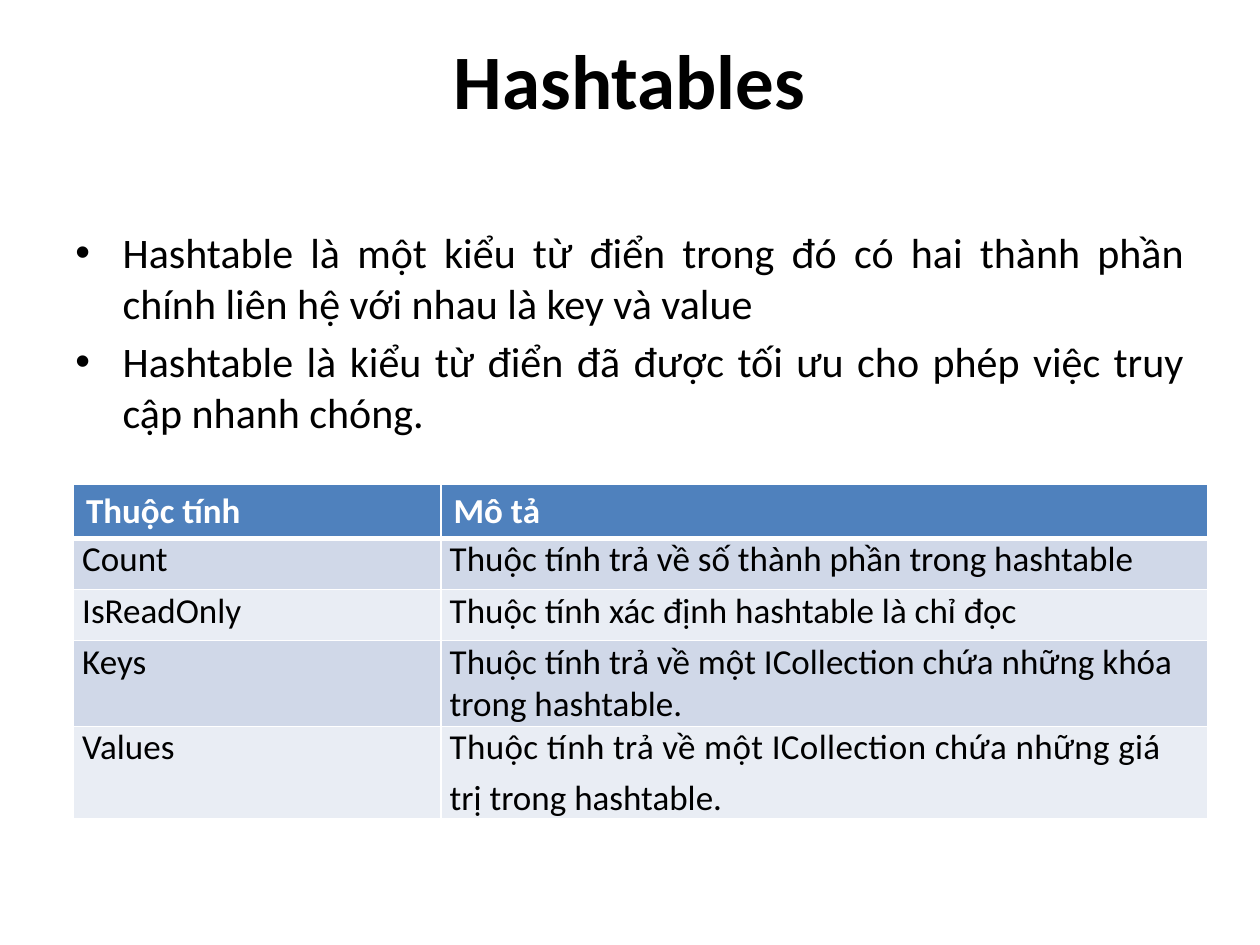
"""Build the Hashtables slide with its bullets and property table."""
from lxml.etree import SubElement as Sub
from pptx import Presentation
from pptx.dml.color import RGBColor as Rgb
from pptx.enum.text import MSO_ANCHOR as Anchor, PP_ALIGN as Align
from pptx.oxml.ns import qn
from pptx.util import Pt

HUES = {"ink": "000000", "white": "FFFFFF", "head": "4F81BD",
        "dark": "D0D8E8", "light": "E9EDF4"}
NOTES = [
    "Hashtable là một kiểu từ điển trong đó có hai thành phần chính liên hệ với nhau là key và value",
    "Hashtable là kiểu từ điển đã được tối ưu cho phép việc truy cập nhanh chóng.",
]
ROWS = [
    ("Thuộc tính", "Mô tả", 30.8),
    ("Count", "Thuộc tính trả về số thành phần trong hashtable", 29.2),
    ("IsReadOnly", "Thuộc tính xác định hashtable là chỉ đọc", 29.2),
    ("Keys", "Thuộc tính trả về một ICollection chứa những khóa trong hashtable.", 49),
    ("Values", "Thuộc tính trả về một ICollection chứa những giá\ntrị trong hashtable.", 53),
]


def style(para, size, hue="ink", bold=False):
    font = para.font
    font.name, font.size, font.bold = "Calibri", Pt(size), bold
    font.color.rgb = Rgb.from_string(HUES[hue])


def edge(cell, side, width):
    line = Sub(cell._tc.get_or_add_tcPr(), qn(f"a:ln{side}"), w=str(Pt(width)))
    fill = Sub(line, qn("a:solidFill"))
    Sub(fill, qn("a:srgbClr"), val=HUES["white"])


deck = Presentation()
deck.slide_width, deck.slide_height = Pt(720), Pt(540)
slide = deck.slides.add_slide(deck.slide_layouts[6])

title = slide.shapes.add_textbox(Pt(36), Pt(0), Pt(648), Pt(90)).text_frame
title.word_wrap = True
title.vertical_anchor = Anchor.MIDDLE
title.text = "Hashtables"
title.paragraphs[0].alignment = Align.CENTER
style(title.paragraphs[0], 44, bold=True)

body = slide.shapes.add_textbox(Pt(36), Pt(126), Pt(648), Pt(356.4)).text_frame
body.word_wrap = True
body.text = "\n".join(NOTES)
for i, para in enumerate(body.paragraphs):
    para.alignment = Align.JUSTIFY
    if i:
        para.space_before = Pt(4.8)
    props = para._p.get_or_add_pPr()
    props.set("marL", str(Pt(27)))
    props.set("indent", str(Pt(-27)))
    Sub(props, qn("a:buFont"), typeface="Arial")
    Sub(props, qn("a:buChar"), char="•")
    style(para, 24)

high = sum(row[2] for row in ROWS)
table = slide.shapes.add_table(len(ROWS), 2, Pt(42), Pt(276.5), Pt(648), Pt(high)).table
table.columns[0].width, table.columns[1].width = Pt(210), Pt(438)
for r, (*texts, tall) in enumerate(ROWS):
    table.rows[r].height = Pt(tall)
    for c, text in enumerate(texts):
        cell = table.cell(r, c)
        cell.text = text
        if r:
            cell.margin_left = Pt(5)
            cell.margin_top = cell.margin_right = cell.margin_bottom = Pt(0)
        for i, para in enumerate(cell.text_frame.paragraphs):
            if i:
                para.space_before = Pt(4.2)
            style(para, 20, "ink" if r else "white", bold=not r)
        for side in "LRTB":
            thick = (r == 0 and side == "B") or (r == 1 and side == "T")
            edge(cell, side, 3 if thick else 1)
        cell.fill.solid()
        hue = "head" if r == 0 else "dark" if r % 2 else "light"
        cell.fill.fore_color.rgb = Rgb.from_string(HUES[hue])

first = table.cell(4, 1).text_frame.paragraphs[0].runs[0]
first._r.get_or_add_rPr().set("spc", "20")

deck.save("out.pptx")
